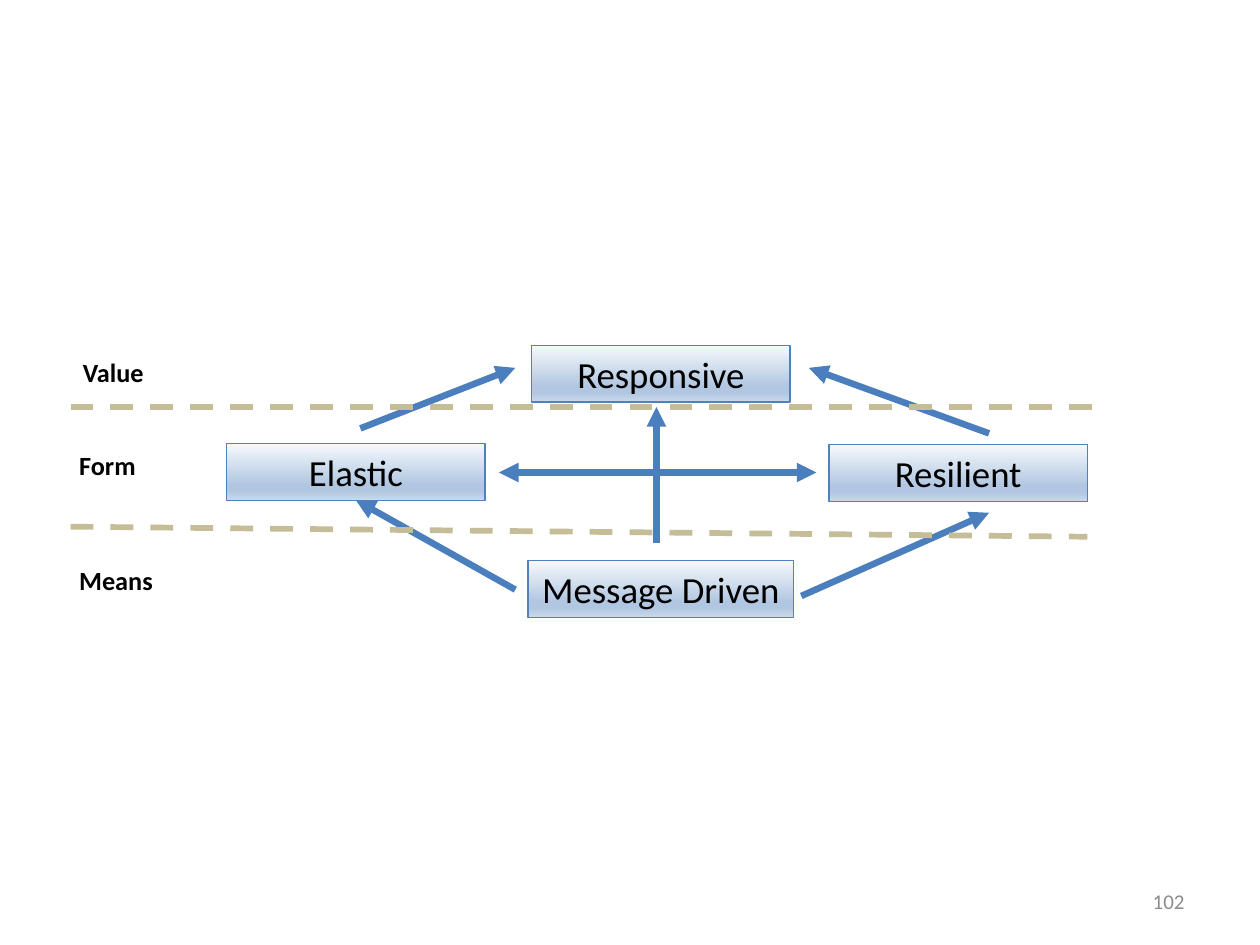
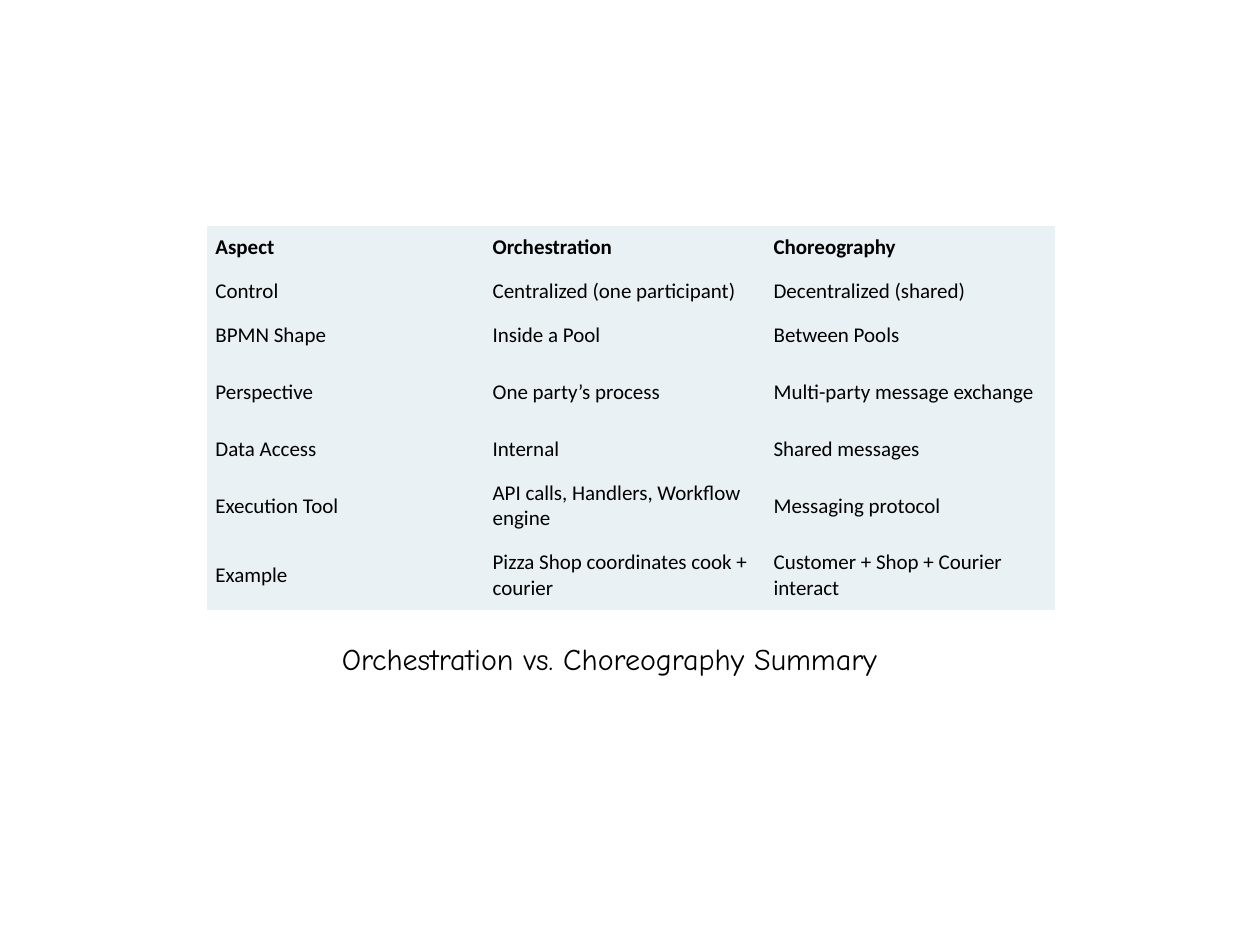
from dataclasses import dataclass

from lxml.etree import SubElement
from pptx import Presentation
from pptx.dml.color import RGBColor
from pptx.enum.dml import MSO_LINE
from pptx.enum.shapes import MSO_CONNECTOR, MSO_SHAPE
from pptx.enum.text import MSO_ANCHOR, MSO_AUTO_SIZE, PP_ALIGN
from pptx.oxml.ns import qn
from pptx.util import Inches, Pt


@dataclass(frozen=True)
class Theme:
    body_font: str = "Calibri"
    title_font: str = "Comic Neue"
    text: str = "000000"
    muted: str = "8C8C8C"
    box_line: str = "4F81BD"
    arrow: str = "4B7EBC"
    divider: str = "C4BD97"
    cell: str = "E9F1F5"
    box_stops: tuple = ((0, "F6F9FC"), (74, "B0C6E1"), (83, "B0C6E1"), (100, "CAD9EB"))
    box_size: float = 21
    title_size: float = 17.2
    level_size: float = 15
    small_size: float = 12


T = Theme()


@dataclass(frozen=True)
class Trait:
    name: str
    left: float
    top: float
    width: float = 2.05
    wrap: bool = True


@dataclass(frozen=True)
class Level:
    name: str
    left: float
    top: float


@dataclass(frozen=True)
class Line:
    start: tuple
    end: tuple
    color: str = T.arrow
    width: float = 3.75
    dashed: bool = False
    head: bool = False
    tail: bool = True
    end_box: str = ""
    end_site: int = 0


TRAITS = (
    Trait("Message Driven", 4.19, 4.45, 2.11, wrap=False),
    Trait("Responsive", 4.22, 2.74),
    Trait("Resilient", 6.58, 3.53),
    Trait("Elastic", 1.8, 3.52),
)
ARROWS = (
    Line((5.21, 4.31), (5.21, 3.23)),
    Line((3.96, 3.75), (6.48, 3.75), head=True),
    Line((2.86, 3.4), (4.09, 2.92)),
    Line((7.85, 3.44), (6.42, 2.92)),
    Line((4.09, 4.68), (2.83, 3.97), end_box="Elastic", end_site=2),
    Line((6.36, 4.73), (7.85, 4.07)),
)
DIVIDERS = tuple(
    Line(start, end, T.divider, 3.25, dashed=True, tail=False)
    for start, end in (((0.56, 4.18), (8.63, 4.26)), ((0.56, 3.23), (8.73, 3.23)))
)
LEVELS = (Level("Value", 0.56, 2.78), Level("Form", 0.53, 3.52), Level("Means", 0.53, 4.43))

COLUMNS = (2.2, 2.23, 2.3)
SHORT_ROW, TALL_ROW = 0.35, 0.55
TALL_ROWS = ("Perspective", "Execution Tool", "Example")
COMPARISON = (
    ("Aspect", "Orchestration", "Choreography"),
    ("Control", "Centralized (one participant)", "Decentralized (shared)"),
    ("BPMN Shape", "Inside a Pool", "Between Pools"),
    ("Perspective", "One party’s process", "Multi-party message exchange"),
    ("Data Access", "Internal", "Shared messages"),
    ("Execution Tool", "API calls, Handlers, Workflow engine", "Messaging protocol"),
    ("Example", "Pizza Shop coordinates cook + courier", "Customer + Shop + Courier interact"),
)
PLAIN_TABLE = "{2D5ABB26-0587-4C30-8999-92F81FD0307C}"


def rgb(color: str) -> RGBColor:
    return RGBColor.from_string(color)


def write(tf, text: str, *, size: float, color: str = T.text, font: str = T.body_font,
          bold: bool = False, align=PP_ALIGN.LEFT) -> None:
    p = tf.paragraphs[0]
    p.alignment = align
    r = p.add_run()
    r.text = text
    r.font.size, r.font.name, r.font.bold = Pt(size), font, bold
    r.font.color.rgb = rgb(color)


def add_text(s, left: float, top: float, width: float, height: float, text: str, **fmt):
    tf = s.shapes.add_textbox(*map(Inches, (left, top, width, height))).text_frame
    tf.word_wrap = True
    write(tf, text, **fmt)
    return tf


def fill_gradient(sp) -> None:
    sp.fill.gradient()
    sp.fill.gradient_angle = 270
    stops = sp._element.spPr.find(".//" + qn("a:gsLst"))
    for gs in list(stops):
        stops.remove(gs)
    for percent, color in T.box_stops:
        gs = SubElement(stops, qn("a:gs"), pos=str(percent * 1000))
        SubElement(gs, qn("a:srgbClr"), val=color)


def add_trait(s, trait: Trait):
    sp = s.shapes.add_shape(MSO_SHAPE.RECTANGLE,
                            *map(Inches, (trait.left, trait.top, trait.width, 0.45)))
    sp.shadow.inherit = False
    fill_gradient(sp)
    sp.line.color.rgb, sp.line.width = rgb(T.box_line), Pt(0.75)
    tf = sp.text_frame
    tf.word_wrap = trait.wrap
    tf.auto_size = MSO_AUTO_SIZE.SHAPE_TO_FIT_TEXT
    write(tf, trait.name, size=T.box_size, align=PP_ALIGN.CENTER)
    return sp


def add_line(s, line: Line, boxes: dict) -> None:
    c = s.shapes.add_connector(MSO_CONNECTOR.STRAIGHT, *map(Inches, line.start + line.end))
    if line.end_box:
        c.end_connect(boxes[line.end_box], line.end_site)
    c.line.color.rgb, c.line.width = rgb(line.color), Pt(line.width)
    if line.dashed:
        c.line.dash_style = MSO_LINE.DASH
    ln = c.line._get_or_add_ln()
    for shown, tag in ((line.head, "a:headEnd"), (line.tail, "a:tailEnd")):
        if shown:
            SubElement(ln, qn(tag), type="triangle")
    SubElement(c._element.spPr, qn("a:effectLst"))


def add_comparison(s) -> None:
    heights = [TALL_ROW if row[0] in TALL_ROWS else SHORT_ROW for row in COMPARISON]
    frame = s.shapes.add_table(len(COMPARISON), len(COLUMNS), Inches(1.64), Inches(1.79),
                               Inches(sum(COLUMNS)), Inches(sum(heights)))
    table = frame.table
    table.first_row = table.horz_banding = False
    table._tbl.tblPr.find(qn("a:tableStyleId")).text = PLAIN_TABLE
    for column, width in zip(table.columns, COLUMNS):
        column.width = Inches(width)
    for i, (row, height) in enumerate(zip(COMPARISON, heights)):
        table.rows[i].height = Inches(height)
        for j, text in enumerate(row):
            cell = table.cell(i, j)
            cell.fill.solid()
            cell.fill.fore_color.rgb = rgb(T.cell)
            cell.vertical_anchor = MSO_ANCHOR.MIDDLE
            cell.margin_left = cell.margin_right = Inches(0.07)
            cell.margin_top = cell.margin_bottom = Inches(0.07)
            write(cell.text_frame, text, size=T.small_size, bold=i == 0)


def build_traits(prs) -> None:
    s = prs.slides.add_slide(prs.slide_layouts[6])
    boxes = {trait.name: add_trait(s, trait) for trait in TRAITS}
    for line in ARROWS + DIVIDERS:
        add_line(s, line, boxes)
    for level in LEVELS:
        tf = add_text(s, level.left, level.top, 1.07, 0.35, level.name,
                      size=T.level_size, bold=True)
        tf.auto_size = MSO_AUTO_SIZE.SHAPE_TO_FIT_TEXT
    tf = add_text(s, 7.17, 6.95, 2.33, 0.4, "102", size=T.small_size, color=T.muted,
                  align=PP_ALIGN.RIGHT)
    tf.vertical_anchor = MSO_ANCHOR.MIDDLE


def build_summary(prs) -> None:
    s = prs.slides.add_slide(prs.slide_layouts[5])
    title = s.shapes.title
    title.left, title.top, title.width, title.height = map(Inches, (1.47, 5.02, 6.73, 0.39))
    tf = title.text_frame
    tf.word_wrap = True
    tf.auto_size = MSO_AUTO_SIZE.NONE
    tf.vertical_anchor = MSO_ANCHOR.BOTTOM
    tf.margin_left = tf.margin_right = Inches(0.07)
    tf.margin_top = tf.margin_bottom = Inches(0.04)
    write(tf, "Orchestration vs. Choreography Summary", size=T.title_size,
          font=T.title_font, align=PP_ALIGN.CENTER)
    add_comparison(s)


def main() -> None:
    prs = Presentation()
    prs.slide_width, prs.slide_height = Inches(10), Inches(7.5)
    build_traits(prs)
    build_summary(prs)
    prs.save("out.pptx")


if __name__ == "__main__":
    main()
